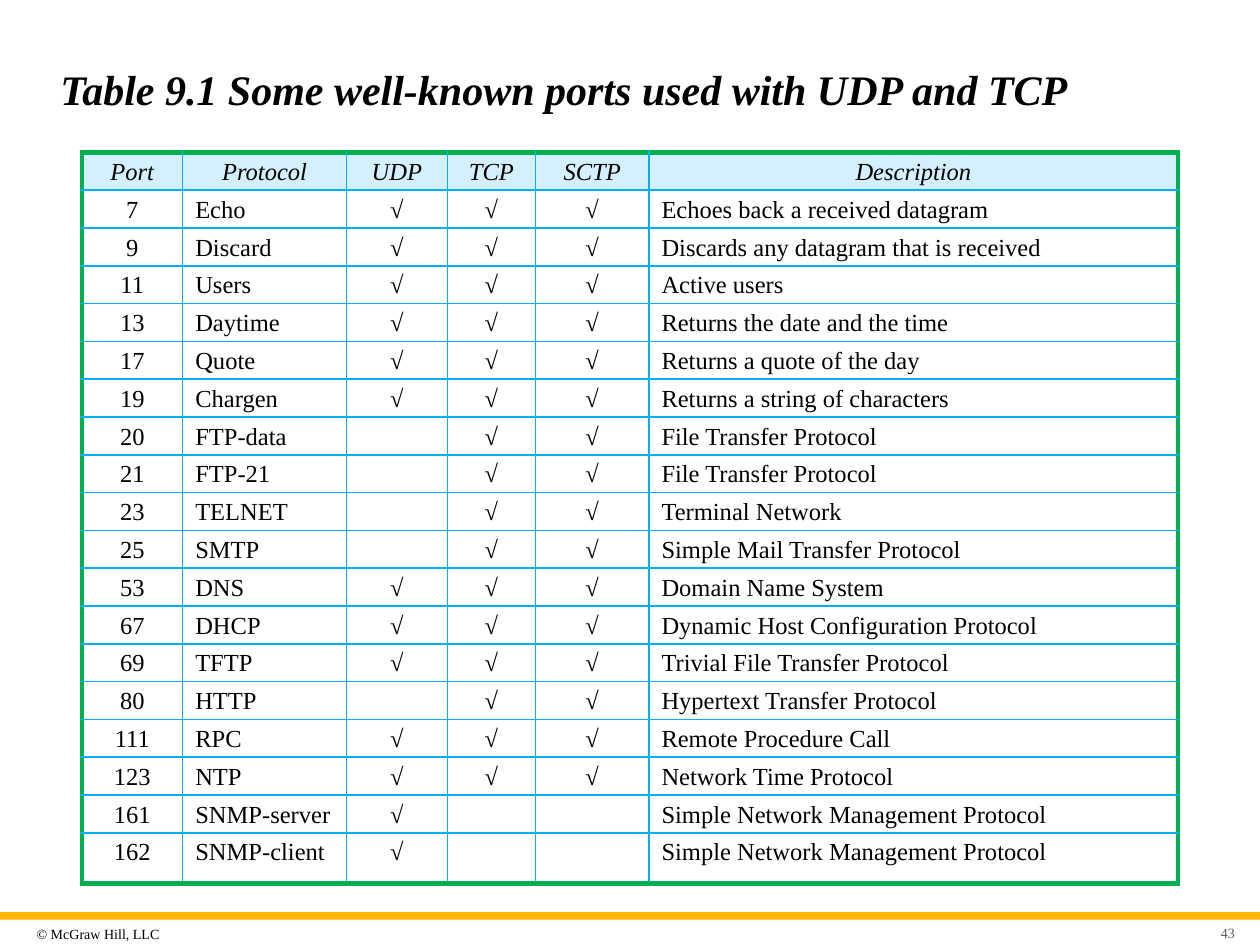
from dataclasses import dataclass
from lxml.etree import SubElement
from pptx import Presentation
from pptx.dml.color import RGBColor
from pptx.enum.shapes import MSO_SHAPE
from pptx.enum.text import MSO_ANCHOR, MSO_AUTO_SIZE, PP_ALIGN
from pptx.oxml.ns import qn
from pptx.util import Inches, Pt


@dataclass
class Theme:
    font: str = "Times New Roman"
    ink: str = "000000"
    gray: str = "595959"
    gold: str = "FFB600"
    head: str = "D4EFFD"
    grid: str = "00B0F0"
    frame: str = "00B050"
    title: int = 24
    body: int = 14
    small: int = 8


theme = Theme()


def write(para, text, size, color=theme.ink, bold=False, italic=False):
    run = para.add_run()
    run.text = text
    font = run.font
    font.name, font.size = theme.font, Pt(size)
    font.bold, font.italic = bold, italic
    font.color.rgb = RGBColor.from_string(color)


def border(cell, side, outer):
    props = cell._tc.get_or_add_tcPr()
    width = Pt(3 if outer else 1)
    line = SubElement(props, qn(f"a:ln{side}"), w=str(width))
    fill = SubElement(line, qn("a:solidFill"))
    SubElement(fill, qn("a:srgbClr"), val=theme.frame if outer else theme.grid)


heads = ["Port", "Protocol", "UDP", "TCP", "SCTP", "Description"]
ports = [
    ("7", "Echo", "UTS", "Echoes back a received datagram"),
    ("9", "Discard", "UTS", "Discards any datagram that is received"),
    ("11", "Users", "UTS", "Active users"),
    ("13", "Daytime", "UTS", "Returns the date and the time"),
    ("17", "Quote", "UTS", "Returns a quote of the day"),
    ("19", "Chargen", "UTS", "Returns a string of characters"),
    ("20", "FTP-data", "TS", "File Transfer Protocol"),
    ("21", "FTP-21", "TS", "File Transfer Protocol"),
    ("23", "TELNET", "TS", "Terminal Network"),
    ("25", "SMTP", "TS", "Simple Mail Transfer Protocol"),
    ("53", "DNS", "UTS", "Domain Name System"),
    ("67", "DHCP", "UTS", "Dynamic Host Configuration Protocol"),
    ("69", "TFTP", "UTS", "Trivial File Transfer Protocol"),
    ("80", "HTTP", "TS", "Hypertext Transfer Protocol"),
    ("111", "RPC", "UTS", "Remote Procedure Call"),
    ("123", "NTP", "UTS", "Network Time Protocol"),
    ("161", "SNMP-server", "U", "Simple Network Management Protocol"),
    ("162", "SNMP-client", "U", "Simple Network Management Protocol"),
]
rows = [heads]
for port, name, used, about in ports:
    marks = ["√" if key in used else "" for key in "UTS"]
    rows.append([port, name, *marks, about])

deck = Presentation()
deck.slide_width, deck.slide_height = Inches(10), Inches(7.5)
slide = deck.slides.add_slide(deck.slide_layouts[5])
shapes = slide.shapes

bar = shapes.add_shape(MSO_SHAPE.RECTANGLE, Inches(0), Inches(7.24), Inches(10), Inches(0.06))
bar.shadow.inherit = False
bar.fill.solid()
bar.fill.fore_color.rgb = RGBColor.from_string(theme.gold)
bar.line.fill.background()

title = shapes.title
title.left, title.top = Inches(0.38), Inches(0.33)
title.width, title.height = Inches(9.25), Inches(0.74)
frame = title.text_frame
frame.auto_size = MSO_AUTO_SIZE.NONE
frame.vertical_anchor = MSO_ANCHOR.MIDDLE
para = frame.paragraphs[0]
para.alignment = PP_ALIGN.LEFT
write(para, "Table 9.1 Some well-known ports used with UDP and TCP", theme.title, bold=True, italic=True)

table = shapes.add_table(len(rows), len(heads), Inches(0.65), Inches(1.21), Inches(8.7), Inches(5.8)).table
table.first_row = table.horz_banding = False
for col, width in zip(table.columns, [0.8, 1.3, 0.8, 0.7, 0.9, 4.2]):
    col.width = Inches(width)
last, end = len(rows) - 1, len(heads) - 1
for r, row in enumerate(rows):
    table.rows[r].height = Inches(0.4 if r == last else 0.3)
    for c, text in enumerate(row):
        cell = table.cell(r, c)
        cell.margin_left = cell.margin_right = Inches(0.1)
        cell.margin_top, cell.margin_bottom = Inches(0.05), Inches(0.01)
        edges = {"L": c == 0, "R": c == end, "T": r == 0, "B": r == last}
        for side, outer in edges.items():
            border(cell, side, outer)
        if r == 0:
            cell.fill.solid()
            cell.fill.fore_color.rgb = RGBColor.from_string(theme.head)
        else:
            cell.fill.background()
        para = cell.text_frame.paragraphs[0]
        para.alignment = PP_ALIGN.LEFT if r and c in (1, end) else PP_ALIGN.CENTER
        if text:
            write(para, text, theme.body, italic=r == 0)
        else:
            SubElement(para._p, qn("a:endParaRPr"), sz=str(theme.body * 100))

notes = [
    ("© McGraw Hill, LLC", 0.24, 7.29, 1.35, 0.24, 0.05, PP_ALIGN.LEFT, theme.ink),
    ("43", 9.46, 7.31, 0.39, 0.18, 0.1, PP_ALIGN.RIGHT, theme.gray),
]
for text, left, top, width, height, inset, align, color in notes:
    box = shapes.add_textbox(Inches(left), Inches(top), Inches(width), Inches(height))
    frame = box.text_frame
    frame.word_wrap = True
    frame.vertical_anchor = MSO_ANCHOR.MIDDLE
    frame.margin_left = Inches(inset)
    frame.margin_right = frame.margin_top = frame.margin_bottom = Inches(0.05)
    para = frame.paragraphs[0]
    para.alignment = align
    write(para, text, theme.small, color)

deck.save("out.pptx")
